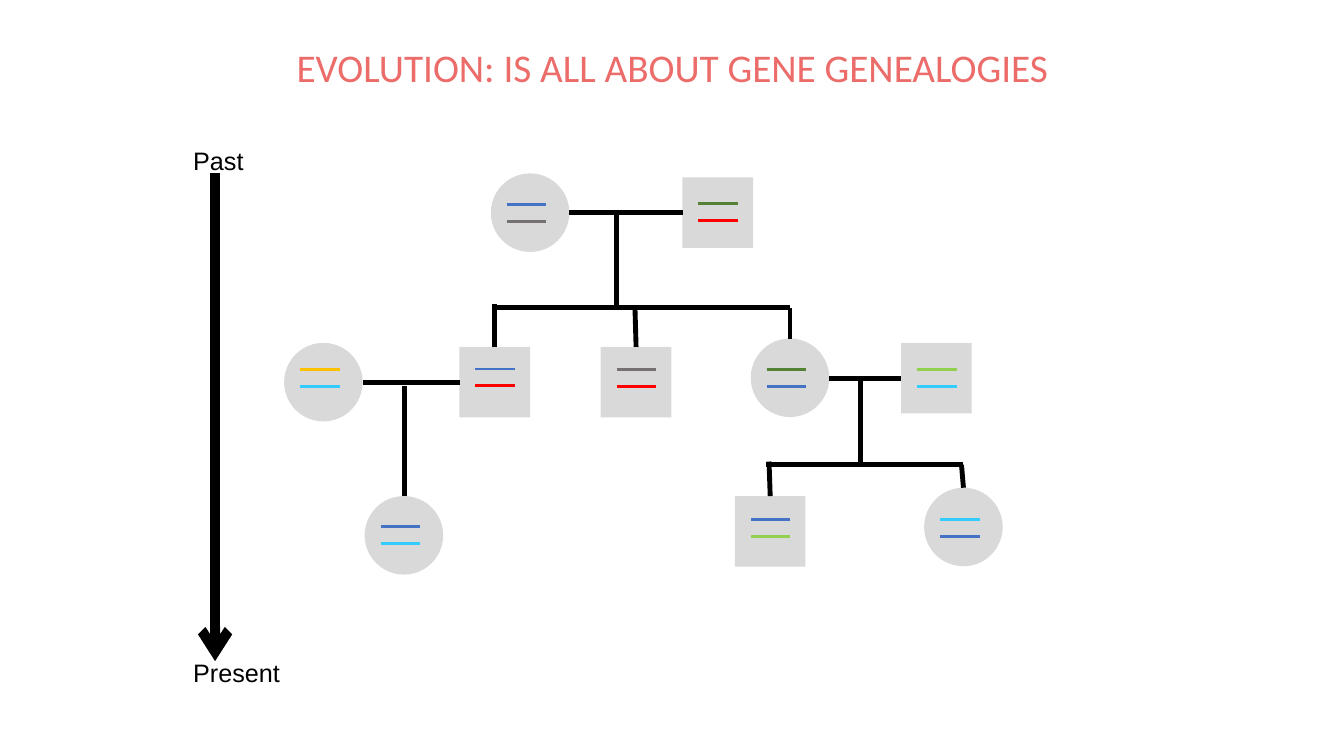
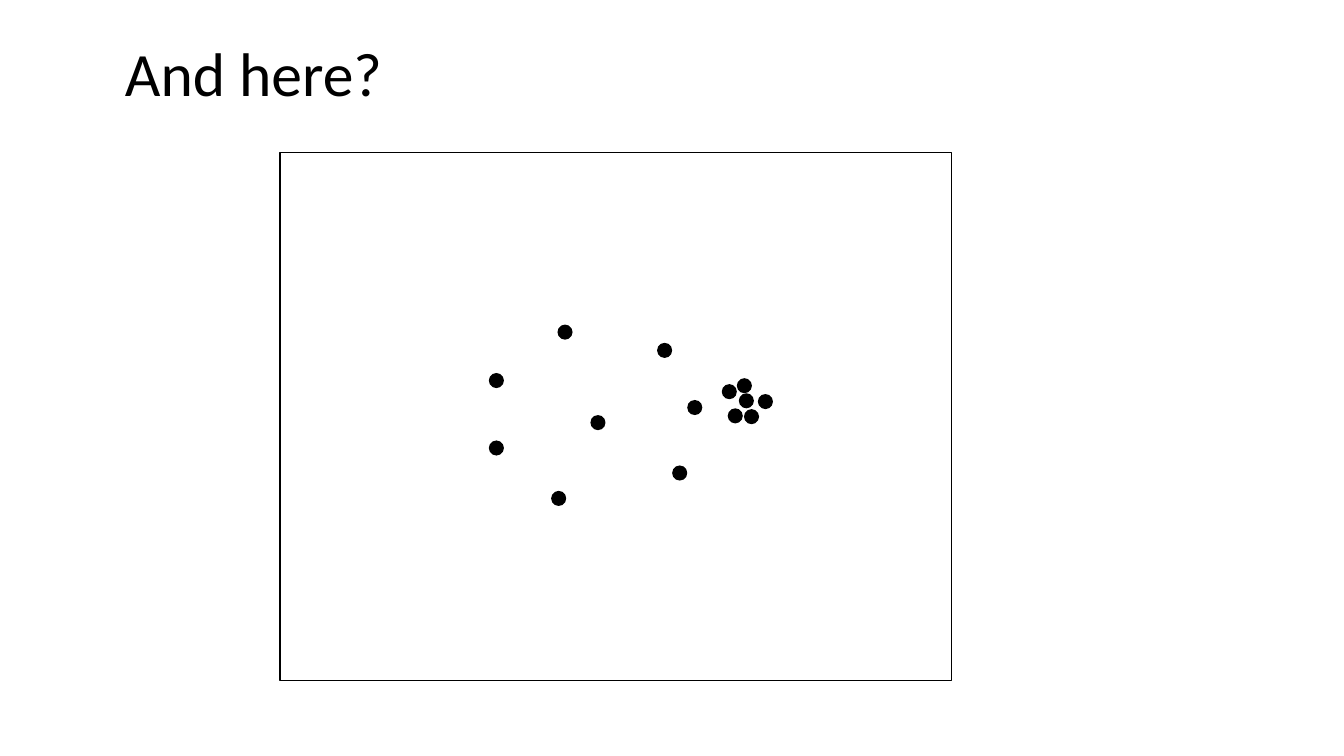
from dataclasses import dataclass
from typing import Optional

import lxml.etree
import pptx
import pptx.dml.color
import pptx.enum.shapes
import pptx.enum.text
import pptx.oxml.ns
import pptx.presentation
import pptx.shapes.autoshape
import pptx.slide
import pptx.util

Cm = pptx.util.Cm
RGBColor = pptx.dml.color.RGBColor
Slide = pptx.slide.Slide
CIRCLE = pptx.enum.shapes.MSO_SHAPE.OVAL
SQUARE = pptx.enum.shapes.MSO_SHAPE.RECTANGLE
LEFT = pptx.enum.text.PP_ALIGN.LEFT
CENTER = pptx.enum.text.PP_ALIGN.CENTER

BLACK = RGBColor(0x00, 0x00, 0x00)
WHITE = RGBColor(0xFF, 0xFF, 0xFF)
CORAL = RGBColor(0xEC, 0x6C, 0x6A)
PERSON_GREY = RGBColor(0xD9, 0xD9, 0xD9)
BLUE = RGBColor(0x44, 0x72, 0xC4)
GREY = RGBColor(0x76, 0x71, 0x71)
GREEN = RGBColor(0x54, 0x82, 0x35)
RED = RGBColor(0xFF, 0x00, 0x00)
GOLD = RGBColor(0xFF, 0xC0, 0x00)
CYAN = RGBColor(0x33, 0xCC, 0xFF)
LIME = RGBColor(0x92, 0xD0, 0x50)

TITLE_FONT = "Calibri"
LABEL_FONT = "Arial"
PERSON_SIZE = {CIRCLE: 1.98, SQUARE: 1.78}
ALLELE_INDENT = 0.4
ALLELE_LENGTH = 1.0
ALLELE_GAP = 0.42
DOT_SIZE = 0.38


@dataclass(frozen=True)
class Person:
    outline: pptx.enum.shapes.MSO_SHAPE
    left: float
    top: float
    allele_top: float
    alleles: tuple[RGBColor, RGBColor]


@dataclass(frozen=True)
class Segment:
    x1: float
    y1: float
    x2: float
    y2: float


@dataclass(frozen=True)
class Label:
    text: str
    left: float
    top: float
    width: float
    height: float
    size: float
    font: str = TITLE_FONT
    color: RGBColor = BLACK
    align: pptx.enum.text.PP_ALIGN = LEFT
    spacing: float = 1.0
    wrap: bool = True


PEOPLE = (
    Person(CIRCLE, 12.37, 4.37, 5.16, (BLUE, GREY)),
    Person(SQUARE, 17.2, 4.47, 5.13, (GREEN, RED)),
    Person(SQUARE, 11.58, 8.74, 9.3, (BLUE, RED)),
    Person(SQUARE, 15.14, 8.74, 9.32, (GREY, RED)),
    Person(CIRCLE, 18.92, 8.53, 9.32, (GREEN, BLUE)),
    Person(CIRCLE, 7.16, 8.64, 9.32, (GOLD, CYAN)),
    Person(SQUARE, 22.71, 8.64, 9.32, (LIME, CYAN)),
    Person(CIRCLE, 9.19, 12.5, 13.27, (BLUE, CYAN)),
    Person(CIRCLE, 23.29, 12.29, 13.09, (CYAN, BLUE)),
    Person(SQUARE, 18.52, 12.5, 13.09, (BLUE, LIME)),
)

FAMILY_TIES = (
    Segment(14.35, 5.36, 17.2, 5.36),
    Segment(12.47, 8.74, 12.47, 7.65),
    Segment(12.47, 7.75, 19.91, 7.75),
    Segment(19.91, 8.53, 19.91, 7.75),
    Segment(16.0, 7.7, 16.03, 8.74),
    Segment(15.54, 5.36, 15.54, 7.75),
    Segment(11.58, 9.63, 9.14, 9.63),
    Segment(10.19, 9.73, 10.19, 12.5),
    Segment(20.9, 9.53, 22.71, 9.53),
    Segment(19.41, 12.5, 19.38, 11.63),
    Segment(24.28, 12.29, 24.23, 11.71),
    Segment(19.3, 11.71, 24.28, 11.71),
    Segment(21.69, 9.53, 21.69, 11.71),
)

TIME_ARROW = Segment(5.42, 4.37, 5.42, 16.66)

GENEALOGY_LABELS = (
    Label("Past", 4.62, 3.53, 1.8, 1.02, 18, LABEL_FONT, wrap=False),
    Label("Present", 4.62, 16.43, 2.72, 1.02, 18, LABEL_FONT, wrap=False),
    Label("EVOLUTION: IS ALL ABOUT GENE GENEALOGIES", 5.51, 0, 22.86, 3.12, 28,
          color=CORAL, align=CENTER, spacing=1.2),
)

QUESTION = Label("And here?", 2.9, 0.1, 29.21, 3.68, 44, spacing=0.9)

DOTS = (
    (12.32, 9.4), (13.89, 12.37), (14.88, 10.46), (14.05, 8.18),
    (16.94, 11.73), (16.56, 8.64), (12.32, 11.1), (17.32, 10.08),
    (18.34, 10.29), (18.62, 9.91), (18.57, 9.53), (18.19, 9.68),
    (18.75, 10.31), (19.1, 9.93),
)


def draw_shape(slide: Slide, outline: pptx.enum.shapes.MSO_SHAPE, left: float, top: float,
               width: float, height: float, fill: RGBColor,
               border: Optional[RGBColor] = None) -> None:
    shape = slide.shapes.add_shape(outline, Cm(left), Cm(top), Cm(width), Cm(height))
    shape.shadow.inherit = False
    shape.fill.solid()
    shape.fill.fore_color.rgb = fill
    if border is None:
        shape.line.fill.background()
    else:
        shape.line.color.rgb = border
        shape.line.width = pptx.util.Pt(1)


def draw_segment(slide: Slide, segment: Segment, color: RGBColor, weight: float,
                 arrow: bool = False) -> None:
    connector = slide.shapes.add_connector(
        pptx.enum.shapes.MSO_CONNECTOR.STRAIGHT,
        Cm(segment.x1), Cm(segment.y1), Cm(segment.x2), Cm(segment.y2))
    connector.line.color.rgb = color
    connector.line.width = pptx.util.Pt(weight)
    if arrow:
        line = connector.line._get_or_add_ln()
        lxml.etree.SubElement(line, pptx.oxml.ns.qn("a:tailEnd"), type="arrow")
    properties = connector._element.spPr
    lxml.etree.SubElement(properties, pptx.oxml.ns.qn("a:effectLst"))


def draw_label(slide: Slide, label: Label) -> None:
    box = slide.shapes.add_textbox(Cm(label.left), Cm(label.top), Cm(label.width), Cm(label.height))
    frame = box.text_frame
    frame.word_wrap = label.wrap
    if label.wrap:
        frame.vertical_anchor = pptx.enum.text.MSO_ANCHOR.MIDDLE
    paragraph = frame.paragraphs[0]
    paragraph.text = label.text
    paragraph.alignment = label.align
    paragraph.line_spacing = label.spacing
    paragraph.font.name = label.font
    paragraph.font.size = pptx.util.Pt(label.size)
    paragraph.font.color.rgb = label.color


def draw_person(slide: Slide, person: Person) -> None:
    size = PERSON_SIZE[person.outline]
    draw_shape(slide, person.outline, person.left, person.top, size, size, PERSON_GREY)


def draw_alleles(slide: Slide, person: Person) -> None:
    left = person.left + ALLELE_INDENT
    for row, color in enumerate(person.alleles):
        y = person.allele_top + row * ALLELE_GAP
        draw_segment(slide, Segment(left, y, left + ALLELE_LENGTH, y), color, 2)


def add_blank_slide(deck: pptx.presentation.Presentation) -> Slide:
    return deck.slides.add_slide(deck.slide_layouts[6])


def build_genealogy(deck: pptx.presentation.Presentation) -> None:
    slide = add_blank_slide(deck)
    for person in PEOPLE:
        draw_person(slide, person)
    for tie in FAMILY_TIES:
        draw_segment(slide, tie, BLACK, 3.5)
    draw_segment(slide, TIME_ARROW, BLACK, 7, arrow=True)
    for person in PEOPLE:
        draw_alleles(slide, person)
    for label in GENEALOGY_LABELS:
        draw_label(slide, label)


def build_question(deck: pptx.presentation.Presentation) -> None:
    slide = add_blank_slide(deck)
    draw_label(slide, QUESTION)
    draw_shape(slide, SQUARE, 7.06, 3.84, 16.92, 13.31, WHITE, BLACK)
    for left, top in DOTS:
        draw_shape(slide, CIRCLE, left, top, DOT_SIZE, DOT_SIZE, BLACK)


def main() -> None:
    deck = pptx.Presentation()
    deck.slide_width = Cm(33.87)
    deck.slide_height = Cm(19.05)
    build_genealogy(deck)
    build_question(deck)
    deck.save("out.pptx")


if __name__ == "__main__":
    main()
